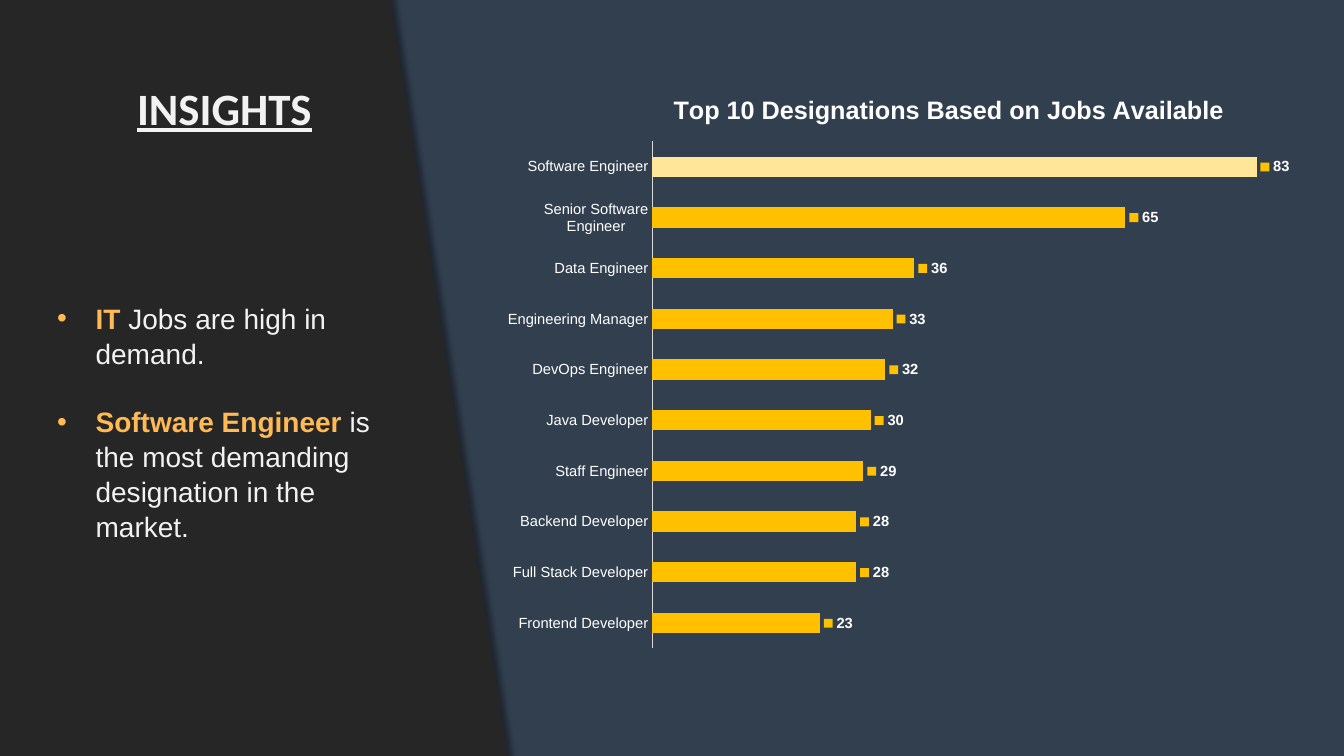
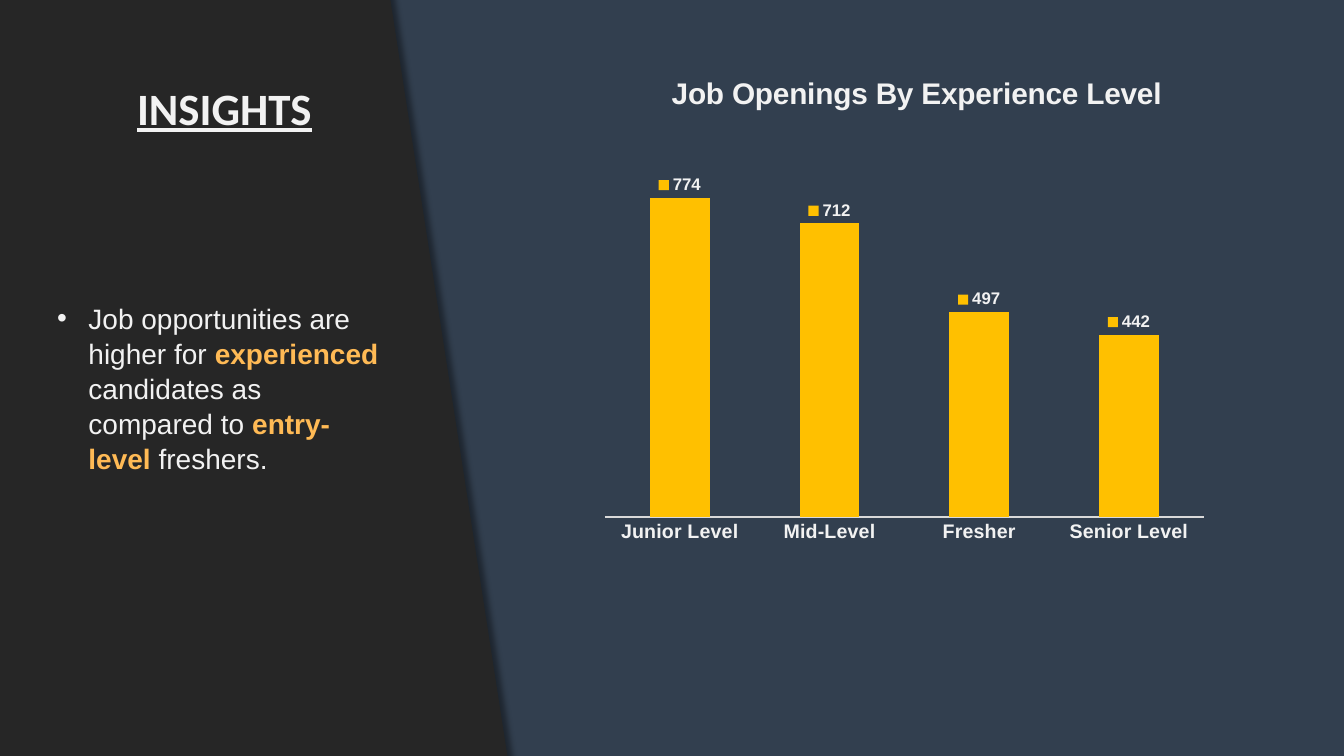
import lxml.etree
import pptx
import pptx.chart.data
import pptx.dml.color
import pptx.enum.chart
import pptx.enum.shapes
import pptx.enum.text
import pptx.oxml
import pptx.oxml.ns
import pptx.util

Cm = pptx.util.Cm
Pt = pptx.util.Pt
RGBColor = pptx.dml.color.RGBColor
ChartType = pptx.enum.chart.XL_CHART_TYPE
qn = pptx.oxml.ns.qn

# Shared style
BACKGROUND = RGBColor(0x32, 0x3F, 0x4F)
PANEL = RGBColor(0x26, 0x26, 0x26)
WHITE = RGBColor(0xFF, 0xFF, 0xFF)
LIGHT = RGBColor(0xF2, 0xF2, 0xF2)
ORANGE = RGBColor(0xFF, 0xBA, 0x55)
BAR = RGBColor(0xFF, 0xC0, 0x00)
BAR_HIGHLIGHT = RGBColor(0xFF, 0xE6, 0x99)
AXIS = RGBColor(0xD9, 0xD9, 0xD9)
HEADING_FONT = "Calibri"
BODY_FONT = "Arial"

# Content: each bullet is a list of (text, emphasised); boxes are
# left, top, width, height in centimetres; layouts are chart fractions
SLIDES = [
    {
        "bullets": [
            [("IT", True), (" Jobs are high in demand.", False)],
            [("Software Engineer", True),
             (" is the most demanding designation in the market.", False)],
        ],
        "bullet_color": ORANGE,
        "indent": 0.97,
        "body_height": 6.25,
        "chart": {
            "type": ChartType.BAR_CLUSTERED,
            "title": "Top 10 Designations Based on Jobs Available",
            "data": [
                ("Frontend Developer", 23), ("Full Stack Developer", 28),
                ("Backend Developer", 28), ("Staff Engineer", 29),
                ("Java Developer", 30), ("DevOps Engineer", 32),
                ("Engineering Manager", 33), ("Data Engineer", 36),
                ("Senior Software Engineer", 65), ("Software Engineer", 83),
            ],
            "highlight": 9,
            "maximum": 90,
            "box": (12.47, 1.78, 20.9, 14.86),
            "title_place": (0.21, 0.03),
            "plot_place": (0.19, 0.12, 0.79, 0.86),
            "color": WHITE,
            "title_size": 18,
            "category_size": 10.5,
            "category_bold": False,
            "label_size": 10.5,
            "axis_width": 0.75,
        },
    },
    {
        "bullets": [
            [("Job opportunities are higher for ", False), ("experienced", True),
             (" candidates as compared to ", False), ("entry-level", True),
             (" freshers.", False)],
        ],
        "bullet_color": LIGHT,
        "indent": 0.79,
        "body_height": 3.68,
        "chart": {
            "type": ChartType.COLUMN_CLUSTERED,
            "title": "Job Openings By Experience Level",
            "data": [("Junior Level", 774), ("Mid-Level", 712),
                     ("Fresher", 497), ("Senior Level", 442)],
            "highlight": None,
            "maximum": 900,
            "box": (13.31, 1.19, 19.35, 13.77),
            "title_place": (0.18, 0.04),
            "plot_place": (0.1, 0.18, 0.78, 0.68),
            "color": LIGHT,
            "title_size": 21.3,
            "category_size": 14,
            "category_bold": True,
            "label_size": 12,
            "axis_width": 1,
        },
    },
]


def style_font(font, name, size, color, bold=False):
    font.name = name
    font.size = Pt(size)
    font.color.rgb = color
    font.bold = bold


def add_panel(slide):
    panel = slide.shapes.add_shape(
        pptx.enum.shapes.MSO_SHAPE.RECTANGLE,
        Cm(-2.03), Cm(-0.61), Cm(13.31), Cm(21.08))
    panel.rotation = 351.2
    panel.fill.solid()
    panel.fill.fore_color.rgb = PANEL
    panel.line.color.rgb = PANEL
    panel.line.width = Pt(1)
    # Soft shadow along the slanted edge
    panel.shadow.inherit = False
    effects = panel.element.spPr.find(qn("a:effectLst"))
    shadow = lxml.etree.SubElement(
        effects, qn("a:outerShdw"), blurRad=str(Pt(4)), dist=str(Pt(3)),
        dir="0", algn="l", rotWithShape="0")
    color = lxml.etree.SubElement(shadow, qn("a:srgbClr"), val="000000")
    lxml.etree.SubElement(color, qn("a:alpha"), val="40000")


def add_heading(slide):
    box = slide.shapes.add_textbox(Cm(3.05), Cm(1.78), Cm(5.21), Cm(1.75))
    frame = box.text_frame
    frame.word_wrap = True
    frame.vertical_anchor = pptx.enum.text.MSO_ANCHOR.BOTTOM
    frame.text = "INSIGHTS"
    paragraph = frame.paragraphs[0]
    paragraph.alignment = pptx.enum.text.PP_ALIGN.CENTER
    paragraph.line_spacing = 0.9
    font = paragraph.runs[0].font
    style_font(font, HEADING_FONT, 32, LIGHT, True)
    font.underline = True


def add_bullet(paragraph, color, indent):
    properties = paragraph._p.get_or_add_pPr()
    properties.set("marL", str(Cm(indent)))
    properties.set("indent", str(-Cm(indent)))
    bullet_color = lxml.etree.SubElement(properties, qn("a:buClr"))
    lxml.etree.SubElement(bullet_color, qn("a:srgbClr"), val=str(color))
    lxml.etree.SubElement(properties, qn("a:buFont"), typeface=BODY_FONT)
    lxml.etree.SubElement(properties, qn("a:buChar"), char="•")


def add_insights(slide, content):
    box = slide.shapes.add_textbox(
        Cm(1.19), Cm(7.44), Cm(8.92), Cm(content["body_height"]))
    frame = box.text_frame
    frame.word_wrap = True
    for index, parts in enumerate(content["bullets"]):
        paragraph = frame.add_paragraph() if index else frame.paragraphs[0]
        add_bullet(paragraph, content["bullet_color"], content["indent"])
        paragraph.line_spacing = 1.04
        if index:
            paragraph.space_before = Pt(24)
        for text, emphasised in parts:
            run = paragraph.add_run()
            run.text = text
            style_font(run.font, BODY_FONT, 20,
                       ORANGE if emphasised else LIGHT, emphasised)


def place_manually(parent, index, place, inner=False):
    """Give a chart title or plot area a fixed place, as chart fractions."""
    for old_layout in parent.findall(qn("c:layout")):
        parent.remove(old_layout)
    layout = pptx.oxml.parse_xml(
        "<c:layout %s><c:manualLayout/></c:layout>" % pptx.oxml.ns.nsdecls("c"))
    settings = [("layoutTarget", "inner")] if inner else []
    settings += [("xMode", "edge"), ("yMode", "edge")]
    settings += zip("xywh", place)
    for name, value in settings:
        lxml.etree.SubElement(layout[0], qn("c:" + name), val=str(value))
    parent.insert(index, layout)


def add_job_chart(slide, content):
    data = pptx.chart.data.CategoryChartData()
    data.categories = [name for name, value in content["data"]]
    data.add_series("Series 1", [value for name, value in content["data"]])
    box = [Cm(length) for length in content["box"]]
    chart = slide.shapes.add_chart(content["type"], *box, data).chart
    color = content["color"]
    style_font(chart.font, BODY_FONT, content["label_size"], color)
    chart.has_legend = False

    # Title
    title = chart.chart_title
    title.text_frame.text = content["title"]
    style_font(title.text_frame.paragraphs[0].runs[0].font,
               BODY_FONT, content["title_size"], color, True)
    place_manually(title._element, 1, content["title_place"])
    place_manually(chart._chartSpace.chart.plotArea, 0,
                   content["plot_place"], inner=True)

    # Axes
    category_axis = chart.category_axis
    category_axis.major_tick_mark = pptx.enum.chart.XL_TICK_MARK.NONE
    category_axis.format.line.color.rgb = AXIS
    category_axis.format.line.width = Pt(content["axis_width"])
    style_font(category_axis.tick_labels.font, BODY_FONT,
               content["category_size"], color, content["category_bold"])
    value_axis = chart.value_axis
    value_axis.minimum_scale = 0
    value_axis.maximum_scale = content["maximum"]
    value_axis.has_major_gridlines = False
    value_axis.visible = False

    # Bars and their labels
    plot = chart.plots[0]
    plot.gap_width = 150
    plot.vary_by_categories = False
    series = plot.series[0]
    series.invert_if_negative = False
    series.format.fill.solid()
    series.format.fill.fore_color.rgb = BAR
    if content["highlight"] is not None:
        fill = series.points[content["highlight"]].format.fill
        fill.solid()
        fill.fore_color.rgb = BAR_HIGHLIGHT
    labels = series.data_labels
    labels.show_value = True
    labels.show_legend_key = True
    labels.position = pptx.enum.chart.XL_LABEL_POSITION.OUTSIDE_END
    style_font(labels.font, BODY_FONT, content["label_size"], color, True)


def main():
    presentation = pptx.Presentation()
    presentation.slide_width = Cm(33.87)
    presentation.slide_height = Cm(19.05)
    for content in SLIDES:
        slide = presentation.slides.add_slide(presentation.slide_layouts[6])
        slide.background.fill.solid()
        slide.background.fill.fore_color.rgb = BACKGROUND
        add_panel(slide)
        add_heading(slide)
        add_insights(slide, content)
        add_job_chart(slide, content["chart"])
    presentation.save("out.pptx")


if __name__ == "__main__":
    main()
